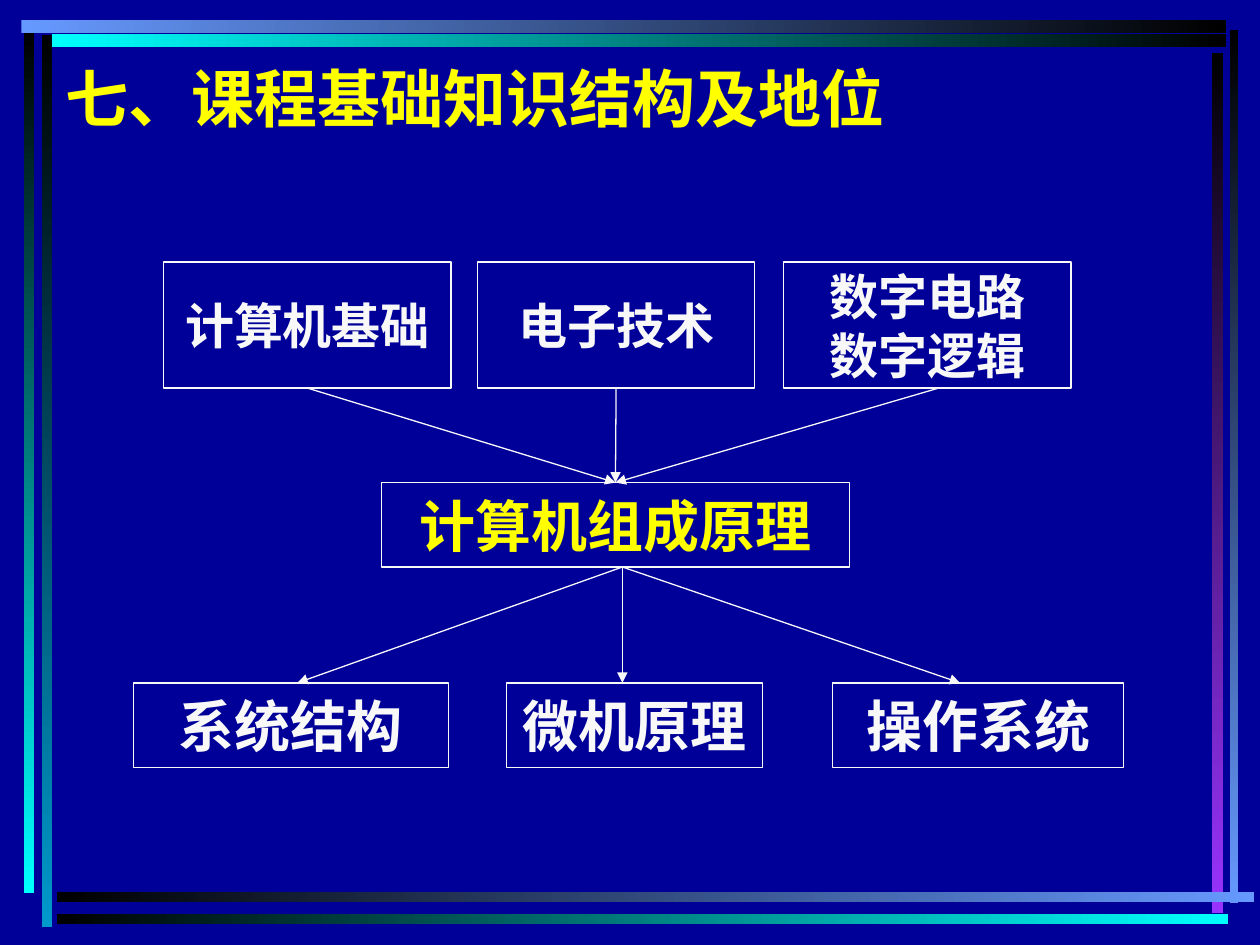
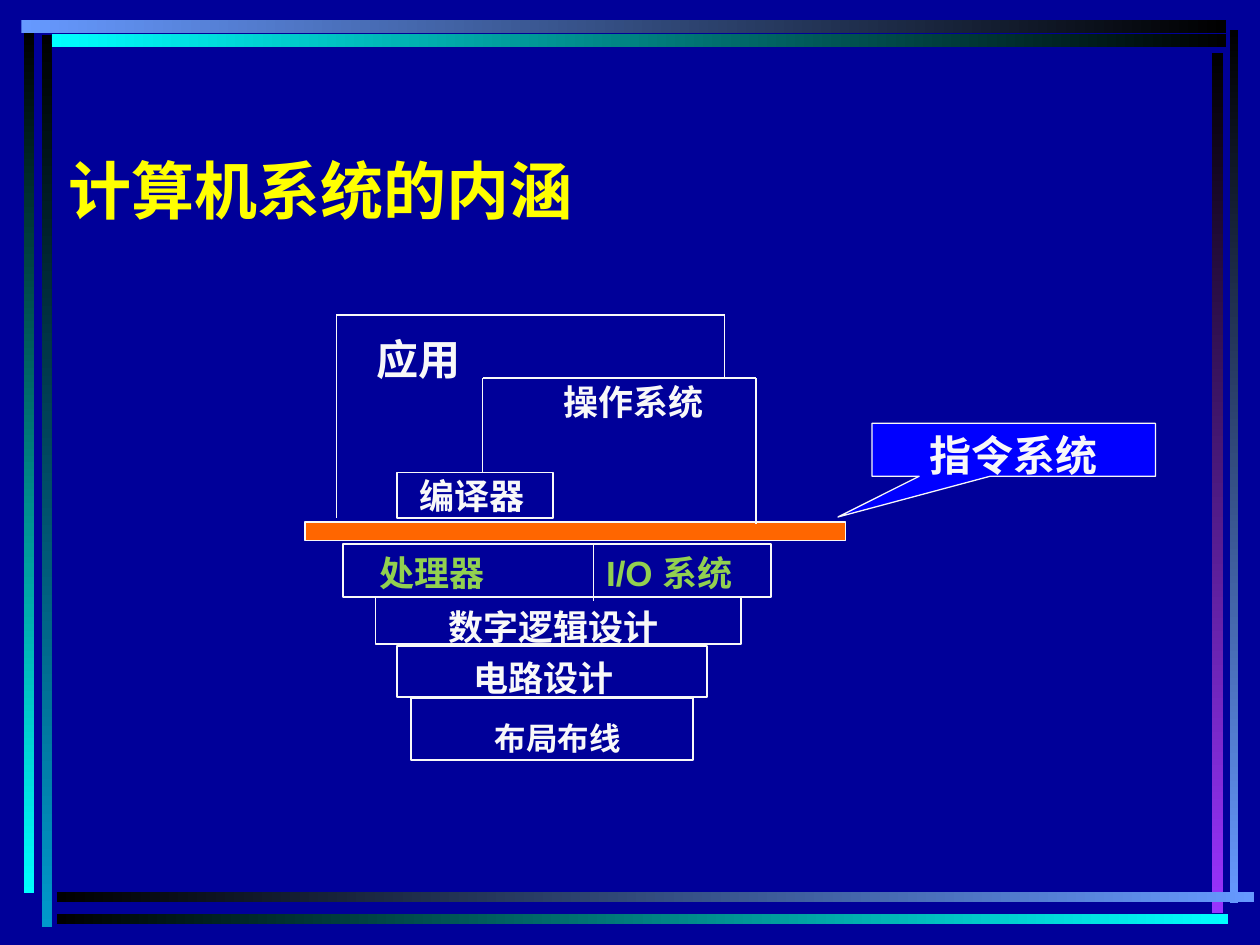
from dataclasses import dataclass

from lxml import etree
from pptx import Presentation
from pptx.dml.color import RGBColor
from pptx.enum.shapes import MSO_CONNECTOR as Connector, MSO_SHAPE as Shape
from pptx.enum.text import MSO_ANCHOR as Anchor, PP_ALIGN as Align
from pptx.oxml.ns import qn
from pptx.util import Inches, Pt


@dataclass(frozen=True)
class Theme:
    backdrop: str = "000099"
    ink: str = "F8F8F8"
    accent: str = "FFFF00"
    hardware: str = "92D050"
    interface: str = "FF6600"
    callout: str = "0000FF"
    black: str = "000000"
    cyan: str = "00FFFF"
    sky: str = "6699FF"
    teal: str = "0099CC"
    violet: str = "9933FF"
    title_font: str = "Cabin"
    course_font: str = "Times New Roman"
    layer_font: str = "Arial"
    title_size: float = 36
    course_size: float = 32
    prerequisite_size: float = 28
    heading_size: float = 24
    layer_size: float = 20
    layout_size: float = 18
    thin: float = 0.75
    medium: float = 1


THEME = Theme()

FRAME_BARS = [
    ((0.33, 0.28, 0.08, 7.08), THEME.black, THEME.teal),
    ((0.19, 0.25, 0.08, 6.84), THEME.black, THEME.cyan),
    ((9.76, 0.24, 0.07, 6.93), THEME.black, THEME.sky),
    ((9.62, 0.42, 0.09, 6.83), THEME.black, THEME.violet),
    ((0.45, 7.08, 9.5, 0.08), THEME.black, THEME.sky),
    ((0.45, 7.25, 9.3, 0.08), THEME.black, THEME.cyan),
    ((0.41, 0.27, 9.32, 0.1), THEME.cyan, THEME.black),
    ((0.17, 0.16, 9.56, 0.1), THEME.sky, THEME.black),
]


def rgb(value):
    return RGBColor.from_string(value)


def inches(values):
    return [Inches(value) for value in values]


def write(frame, text, *, size, font, color=THEME.ink, align=Align.LEFT,
          anchor=Anchor.TOP, wrap=True, insets=(0.1, 0.05, 0.1, 0.05), spacing=None):
    frame.word_wrap = wrap
    frame.vertical_anchor = anchor
    (frame.margin_left, frame.margin_top,
     frame.margin_right, frame.margin_bottom) = inches(insets)
    frame.text = text
    for paragraph in frame.paragraphs:
        paragraph.alignment = align
        paragraph.line_spacing = spacing
        paragraph.font.size = Pt(size)
        paragraph.font.name = font
        paragraph.font.bold = True
        paragraph.font.color.rgb = rgb(color)


def add_label(slide, area, text, **style):
    write(slide.shapes.add_textbox(*inches(area)).text_frame, text, **style)


def add_title(slide, area, text, **style):
    add_label(slide, area, text, size=THEME.title_size, font=THEME.title_font,
              color=THEME.accent, **style)


def add_box(slide, area, width, fill=None, kind=Shape.RECTANGLE):
    box = slide.shapes.add_shape(kind, *inches(area))
    box.shadow.inherit = False
    if fill:
        box.fill.solid()
        box.fill.fore_color.rgb = rgb(fill)
    else:
        box.fill.background()
    box.line.color.rgb = rgb(THEME.ink)
    box.line.width = Pt(width)
    return box


def add_frame_bar(slide, area, first, last):
    bar = slide.shapes.add_shape(Shape.RECTANGLE, *inches(area))
    bar.shadow.inherit = False
    bar.line.fill.background()
    bar.fill.gradient()
    bar.fill.gradient_angle = 270 if bar.height > bar.width else 0
    for stop, color, position in zip(bar.fill.gradient_stops, (first, last), (0, 1)):
        stop.color.rgb = rgb(color)
        stop.position = position


def add_line(slide, start, end, width):
    line = slide.shapes.add_connector(Connector.STRAIGHT, *inches(start + end))
    line.line.color.rgb = rgb(THEME.ink)
    line.line.width = Pt(width)
    etree.SubElement(line._element.spPr, qn("a:effectLst"))
    return line


def is_middle(box, x):
    return abs(box.left + box.width / 2 - Inches(x)) <= Inches(0.02)


def add_arrow(slide, upper, start_x, lower, end_x):
    start = (start_x, (upper.top + upper.height) / Inches(1))
    end = (end_x, lower.top / Inches(1))
    arrow = add_line(slide, start, end, THEME.thin)
    etree.SubElement(arrow.line._get_or_add_ln(), qn("a:tailEnd"), type="triangle")
    if is_middle(upper, start_x):
        arrow.begin_connect(upper, 2)
    if is_middle(lower, end_x):
        arrow.end_connect(lower, 0)


def add_course(slide, area, text, size=THEME.course_size, color=THEME.ink):
    course = add_box(slide, area, THEME.thin)
    write(course.text_frame, text, size=size, font=THEME.course_font, color=color,
          align=Align.CENTER, anchor=Anchor.MIDDLE, wrap=False)
    return course


def add_framed_slide(prs):
    slide = prs.slides.add_slide(prs.slide_layouts[6])
    for area, first, last in FRAME_BARS:
        add_frame_bar(slide, area, first, last)
    return slide


def build_course_map(prs):
    slide = add_framed_slide(prs)
    add_title(slide, (0.42, 0.42, 8.75, 0.92), "七、课程基础知识结构及地位")
    core = add_course(slide, (3.03, 3.83, 3.71, 0.67), "计算机组成原理",
                      color=THEME.accent)

    prerequisites = [
        ("计算机基础", 1.3, 2.28, 2.44),
        ("电子技术", 3.79, 2.2, 4.88),
        ("数字电路\n数字逻辑", 6.22, 2.28, 7.45),
    ]
    for text, left, width, arrow_x in prerequisites:
        course = add_course(slide, (left, 2.08, width, 1), text,
                            size=THEME.prerequisite_size)
        add_arrow(slide, course, arrow_x, core, 4.89)

    followers = [
        ("系统结构", 1.06, 2.5, 2.36),
        ("微机原理", 4.02, 2.03, 4.94),
        ("操作系统", 6.61, 2.31, 7.62),
    ]
    for text, left, width, arrow_x in followers:
        course = add_course(slide, (left, 5.42, width, 0.67), text)
        add_arrow(slide, core, 4.94, course, arrow_x)


def build_system_layers(prs):
    slide = add_framed_slide(prs)
    add_title(slide, (0.43, 1.15, 4.33, 0.7), "计算机系统的内涵",
              align=Align.CENTER, insets=(0, 0.05, 0.1, 0.05))

    layer_outlines = [
        (2.72, 4.32, 3.4, 0.42),
        (3.15, 3.75, 1.24, 0.36),
        (2.98, 4.74, 2.9, 0.37),
        (3.15, 5.13, 2.46, 0.4),
        (3.26, 5.54, 2.24, 0.49),
    ]
    for area in layer_outlines:
        add_box(slide, area, THEME.medium)
    add_box(slide, (2.42, 4.14, 4.29, 0.15), THEME.medium, THEME.interface)

    application_edge = [(2.67, 4.11), (2.67, 2.5), (5.75, 2.5), (5.75, 2.99)]
    system_edge = [(3.83, 3.75), (3.83, 3), (6, 3), (6, 4.16)]
    processor_divider = [(4.71, 4.32), (4.71, 4.77)]
    for edge in (application_edge, system_edge, processor_divider):
        for start, end in zip(edge, edge[1:]):
            add_line(slide, start, end, THEME.medium)

    layer_labels = [
        ("应用", (2.92, 2.61, 0.98, 0.46), THEME.heading_size, THEME.ink),
        ("操作系统", (4.4, 2.98, 1.39, 0.4), THEME.layer_size, THEME.ink),
        ("编译器", (3.26, 3.73, 1.05, 0.4), THEME.layer_size, THEME.ink),
        ("处理器", (2.94, 4.34, 1.5, 0.4), THEME.layer_size, THEME.hardware),
        ("I/O 系统", (4.74, 4.34, 1.29, 0.4), THEME.layer_size, THEME.hardware),
        ("数字逻辑设计", (3.49, 4.77, 2.07, 0.4), THEME.layer_size, THEME.ink),
        ("电路设计", (3.69, 5.17, 1.63, 0.4), THEME.layer_size, THEME.ink),
    ]
    for text, area, size, color in layer_labels:
        add_label(slide, area, text, size=size, font=THEME.layer_font, color=color,
                  insets=(0.07, 0.03, 0.07, 0.03), spacing=1.02)
    add_label(slide, (3.83, 5.66, 1.48, 0.4), "布局布线",
              size=THEME.layout_size, font=THEME.layer_font)

    instruction_set = add_box(slide, (6.92, 3.36, 2.25, 0.42), THEME.thin,
                              THEME.callout, Shape.RECTANGULAR_CALLOUT)
    instruction_set.adjustments[0] = -0.62
    instruction_set.adjustments[1] = 1.27
    write(instruction_set.text_frame, "指令系统", size=THEME.heading_size,
          font=THEME.course_font, align=Align.CENTER)


def main():
    prs = Presentation()
    prs.slide_width, prs.slide_height = Inches(10), Inches(7.5)
    backdrop = prs.slide_master.background.fill
    backdrop.solid()
    backdrop.fore_color.rgb = rgb(THEME.backdrop)
    build_course_map(prs)
    build_system_layers(prs)
    prs.save("out.pptx")


if __name__ == "__main__":
    main()
